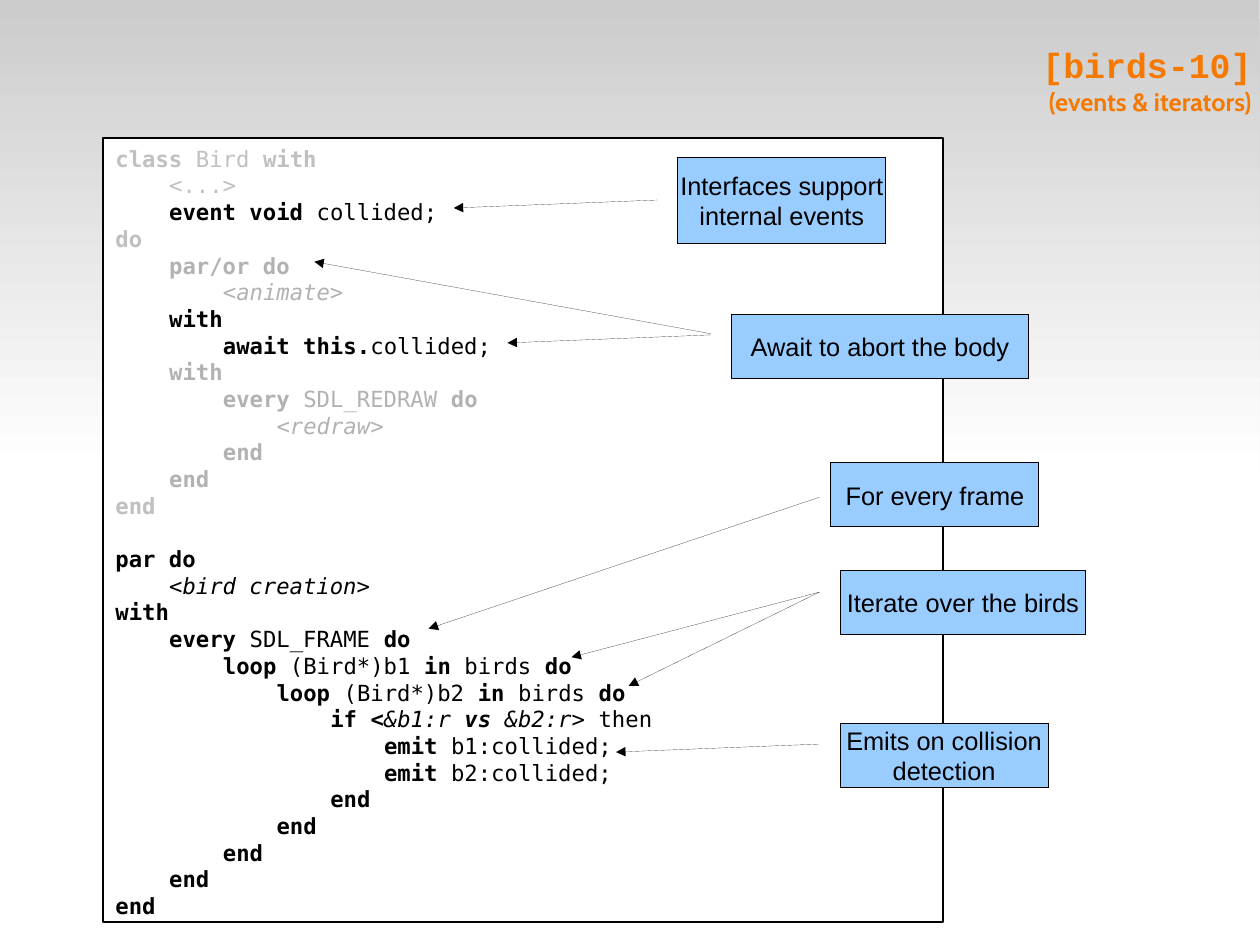
from dataclasses import dataclass
from typing import NamedTuple

from lxml.etree import SubElement
from pptx import Presentation
from pptx.dml.color import RGBColor
from pptx.enum.shapes import MSO_CONNECTOR as Connector, MSO_SHAPE as Shape
from pptx.enum.text import MSO_ANCHOR as Anchor, PP_ALIGN as Align
from pptx.oxml.ns import qn
from pptx.util import Cm, Inches, Pt

BLACK, WHITE = "000000", "FFFFFF"
SILVER, GRAY = "C0C0C0", "B2B2B2"
ORANGE, SKY = "F57900", "99CCFF"
CODE_FONT, CODE_SIZE = "DejaVu Sans Mono", 14
INDENT = 0.47  # four characters of code
LINE_PITCH = 16.8


class Span(NamedTuple):
    text: str
    bold: bool = False
    italic: bool = False


def bold(text: str) -> Span:
    return Span(text, bold=True)


def italic(text: str) -> Span:
    return Span(text, italic=True)


class CodeLine(NamedTuple):
    level: int
    color: str
    spans: list[Span]
    lines_before: int = 0


class Note(NamedTuple):
    left: float
    top: float
    width: float
    height: float
    lines: list[str]


@dataclass
class Arrow:
    start: tuple[float, float]
    end: tuple[float, float]


CODE = [
    CodeLine(0, SILVER, [bold("class"), Span(" Bird "), bold("with")]),
    CodeLine(1, SILVER, [Span("<...>")]),
    CodeLine(1, BLACK, [bold("event void"), Span(" collided;")]),
    CodeLine(0, SILVER, [bold("do")]),
    CodeLine(1, GRAY, [bold("par/or do")]),
    CodeLine(2, GRAY, [italic("<animate>")]),
    CodeLine(1, BLACK, [bold("with")]),
    CodeLine(2, BLACK, [bold("await this."), Span("collided;")]),
    CodeLine(1, GRAY, [bold("with")]),
    CodeLine(2, GRAY, [bold("every"), Span(" SDL_REDRAW"), bold(" do")]),
    CodeLine(3, GRAY, [italic("<redraw>")]),
    CodeLine(2, GRAY, [bold("end")]),
    CodeLine(1, GRAY, [bold("end")]),
    CodeLine(0, SILVER, [bold("end")]),
    CodeLine(0, BLACK, [bold("par do")], lines_before=1),
    CodeLine(1, BLACK, [italic("<bird creation>")]),
    CodeLine(0, BLACK, [bold("with")]),
    CodeLine(1, BLACK, [bold("every"), Span(" SDL_FRAME "), bold("do")]),
    CodeLine(2, BLACK, [bold("loop "), Span("(Bird*)b1 "), bold("in "),
                        Span("birds "), bold("do")]),
    CodeLine(3, BLACK, [bold("loop"), Span(" (Bird*)b2 "), bold("in "),
                        Span("birds "), bold("do")]),
    CodeLine(4, BLACK, [bold("if "), Span("<", True, True), italic("&b1:r "),
                        Span("vs", True, True), italic(" &b2:r>"), Span(" then")]),
    CodeLine(5, BLACK, [bold("emit"), Span(" b1:collided;")]),
    CodeLine(5, BLACK, [bold("emit"), Span(" b2:collided;")]),
    *(CodeLine(level, BLACK, [bold("end")]) for level in range(4, -1, -1)),
]

NOTES = [
    Note(5.93, 1.38, 1.82, 0.75, ["Interfaces support", "internal events"]),
    Note(6.4, 2.75, 2.6, 0.56, ["Await to abort the body"]),
    Note(7.27, 4.05, 1.82, 0.56, ["For every frame"]),
    Note(7.35, 4.99, 2.15, 0.56, ["Iterate over the birds"]),
    Note(7.35, 6.33, 1.82, 0.56, ["Emits on collision", "detection"]),
]

ARROWS = [
    Arrow((5.75, 1.75), (3.97, 1.82)),
    Arrow((6.22, 2.93), (4.44, 3)),
    Arrow((6.22, 2.92), (2.75, 2.29)),
    Arrow((7.17, 4.35), (3.75, 5.5)),
    Arrow((7.17, 5.18), (5, 5.75)),
    Arrow((7.17, 5.18), (5.5, 6)),
    Arrow((7.17, 6.51), (5.39, 6.58)),
]


def rgb(color: str) -> RGBColor:
    return RGBColor.from_string(color)


def add_span(para, text: str, *, font: str, size: float, color: str = BLACK,
             bold: bool = False, italic: bool = False) -> None:
    span = para.add_run()
    span.text = text
    span.font.name, span.font.size = font, Pt(size)
    span.font.bold, span.font.italic = bold, italic
    span.font.color.rgb = rgb(color)


def next_para(frame, index: int, align: Align):
    para = frame.add_paragraph() if index else frame.paragraphs[0]
    para.alignment = align
    return para


def set_insets(frame, across: float, down: float) -> None:
    frame.margin_left = frame.margin_right = Inches(across)
    frame.margin_top = frame.margin_bottom = Inches(down)


def style_line(line, width: float):
    """Colour the line and write its width even when it is a hairline of 0."""
    line.color.rgb = rgb(BLACK)
    outline = line._get_or_add_ln()
    outline.set("w", str(Pt(width)))
    return outline


def add_box(page, left: float, top: float, width: float, height: float,
            fill: str, line_width: float = 0):
    box = page.shapes.add_shape(Shape.RECTANGLE, Inches(left), Inches(top),
                                Inches(width), Inches(height))
    box.shadow.inherit = False
    box.fill.solid()
    box.fill.fore_color.rgb = rgb(fill)
    style_line(box.line, line_width)
    return box


def add_backdrop(page) -> None:
    band = add_box(page, 0, 0, 11.02, 4.13, WHITE)
    band.line.fill.background()
    band.fill.gradient()
    band.fill.gradient_angle = 270
    for stop, color in zip(band.fill.gradient_stops, ("CCCCCC", WHITE)):
        stop.color.rgb = rgb(color)


def add_code(page) -> None:
    frame = add_box(page, 0.9, 1.21, 7.35, 6.86, WHITE, 1.45).text_frame
    set_insets(frame, 0.11, 0.06)
    frame.vertical_anchor = Anchor.TOP
    frame.word_wrap = True
    for index, line in enumerate(CODE):
        para = next_para(frame, index, Align.LEFT)
        para.space_before = Pt(line.lines_before * LINE_PITCH)
        properties = para._p.get_or_add_pPr()
        properties.set("marL", str(Inches(line.level * INDENT)))
        properties.set("indent", "0")
        for span in line.spans:
            add_span(para, span.text, font=CODE_FONT, size=CODE_SIZE,
                     color=line.color, bold=span.bold, italic=span.italic)


def add_title(page) -> None:
    frame = page.shapes.add_textbox(Inches(1.03), Inches(0.01),
                                    Inches(9.92), Inches(1.38)).text_frame
    frame.word_wrap = True
    frame.vertical_anchor = Anchor.MIDDLE
    set_insets(frame, 0, 0)
    para = next_para(frame, 0, Align.RIGHT)
    add_span(para, "[birds-10]", font="Courier New", size=22, color=ORANGE, bold=True)
    para.add_line_break()
    add_span(para, "(events & iterators)", font="Cabin", size=16, color=ORANGE, bold=True)


def add_note(page, note: Note) -> None:
    frame = add_box(page, note.left, note.top, note.width, note.height, SKY).text_frame
    frame.word_wrap = False
    frame.vertical_anchor = Anchor.MIDDLE
    set_insets(frame, 0.1, 0.05)
    for index, text in enumerate(note.lines):
        add_span(next_para(frame, index, Align.CENTER), text, font="Arial", size=16)


def add_arrow(page, arrow: Arrow) -> None:
    ends = [Inches(value) for value in (*arrow.start, *arrow.end)]
    connector = page.shapes.add_connector(Connector.STRAIGHT, *ends)
    SubElement(style_line(connector.line, 0), qn("a:tailEnd"), type="triangle")
    SubElement(connector._element.spPr, qn("a:effectLst"))


def main() -> None:
    deck = Presentation()
    deck.slide_width, deck.slide_height = Cm(28), Cm(21)
    page = deck.slides.add_slide(deck.slide_layouts[6])
    add_backdrop(page)
    add_code(page)
    add_title(page)
    for note in NOTES:
        add_note(page, note)
    for arrow in ARROWS:
        add_arrow(page, arrow)
    deck.save("out.pptx")


if __name__ == "__main__":
    main()
